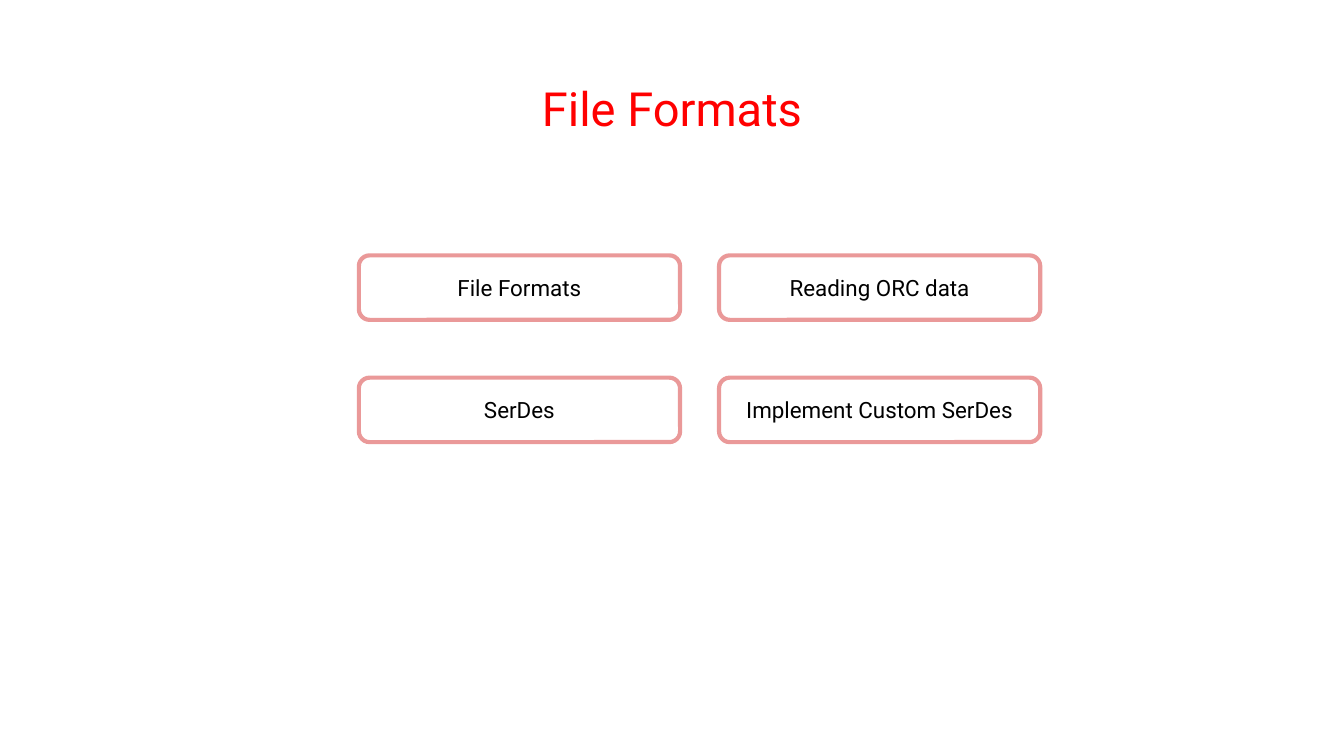
"""Build the File Formats topic slide."""
from dataclasses import dataclass

from pptx import Presentation
from pptx.dml.color import RGBColor
from pptx.enum.shapes import MSO_SHAPE
from pptx.enum.text import MSO_ANCHOR, PP_ALIGN
from pptx.shapes.autoshape import Shape
from pptx.slide import Slide
from pptx.util import Inches, Pt


@dataclass(frozen=True)
class Theme:
    font: str = "Roboto"
    title_size: float = 25.2
    topic_size: float = 12
    line_width: float = 2.25
    title_color: RGBColor = RGBColor(0xFF, 0x00, 0x00)
    text_color: RGBColor = RGBColor(0x00, 0x00, 0x00)
    background: RGBColor = RGBColor(0xFF, 0xFF, 0xFF)
    border: RGBColor = RGBColor(0xEA, 0x99, 0x99)


@dataclass(frozen=True)
class Topic:
    label: str
    column: int
    row: int


THEME = Theme()
SLIDE_WIDTH = Inches(10)
SLIDE_HEIGHT = SLIDE_WIDTH * 9 // 16
GRID_LEFT, GRID_TOP = 2.67, 1.9
COLUMN_STEP, ROW_STEP = 2.68, 0.91
TOPIC_WIDTH, TOPIC_HEIGHT = 2.39, 0.48
TOPICS = (
    Topic("Reading ORC data", 1, 0),
    Topic("SerDes", 0, 1),
    Topic("Implement Custom SerDes", 1, 1),
    Topic("File Formats", 0, 0),
)


def write_text(box: Shape, text: str, size: float, color: RGBColor, anchor: MSO_ANCHOR) -> None:
    frame = box.text_frame
    frame.word_wrap = True
    frame.vertical_anchor = anchor
    frame.margin_left = frame.margin_right = Inches(0.1)
    frame.margin_top = frame.margin_bottom = Inches(0.1)
    para = frame.paragraphs[0]
    para.text = text
    para.alignment = PP_ALIGN.CENTER
    para.font.name = THEME.font
    para.font.size = Pt(size)
    para.font.color.rgb = color


def draw_title(page: Slide, text: str) -> None:
    box = page.shapes.add_textbox(Inches(0.34), Inches(0.49), Inches(9.32), Inches(0.63))
    write_text(box, text, THEME.title_size, THEME.title_color, MSO_ANCHOR.TOP)


def draw_topic(page: Slide, topic: Topic) -> None:
    box = page.shapes.add_shape(
        MSO_SHAPE.ROUNDED_RECTANGLE,
        Inches(GRID_LEFT + topic.column * COLUMN_STEP),
        Inches(GRID_TOP + topic.row * ROW_STEP),
        Inches(TOPIC_WIDTH),
        Inches(TOPIC_HEIGHT),
    )
    box.shadow.inherit = False
    box.fill.solid()
    box.fill.fore_color.rgb = THEME.background
    box.line.color.rgb = THEME.border
    box.line.width = Pt(THEME.line_width)
    write_text(box, topic.label, THEME.topic_size, THEME.text_color, MSO_ANCHOR.MIDDLE)


def main() -> None:
    deck = Presentation()
    deck.slide_width, deck.slide_height = SLIDE_WIDTH, SLIDE_HEIGHT
    page = deck.slides.add_slide(deck.slide_layouts[6])
    page.background.fill.solid()
    page.background.fill.fore_color.rgb = THEME.background
    draw_title(page, "File Formats")
    for topic in TOPICS:
        draw_topic(page, topic)
    deck.save("out.pptx")


if __name__ == "__main__":
    main()
